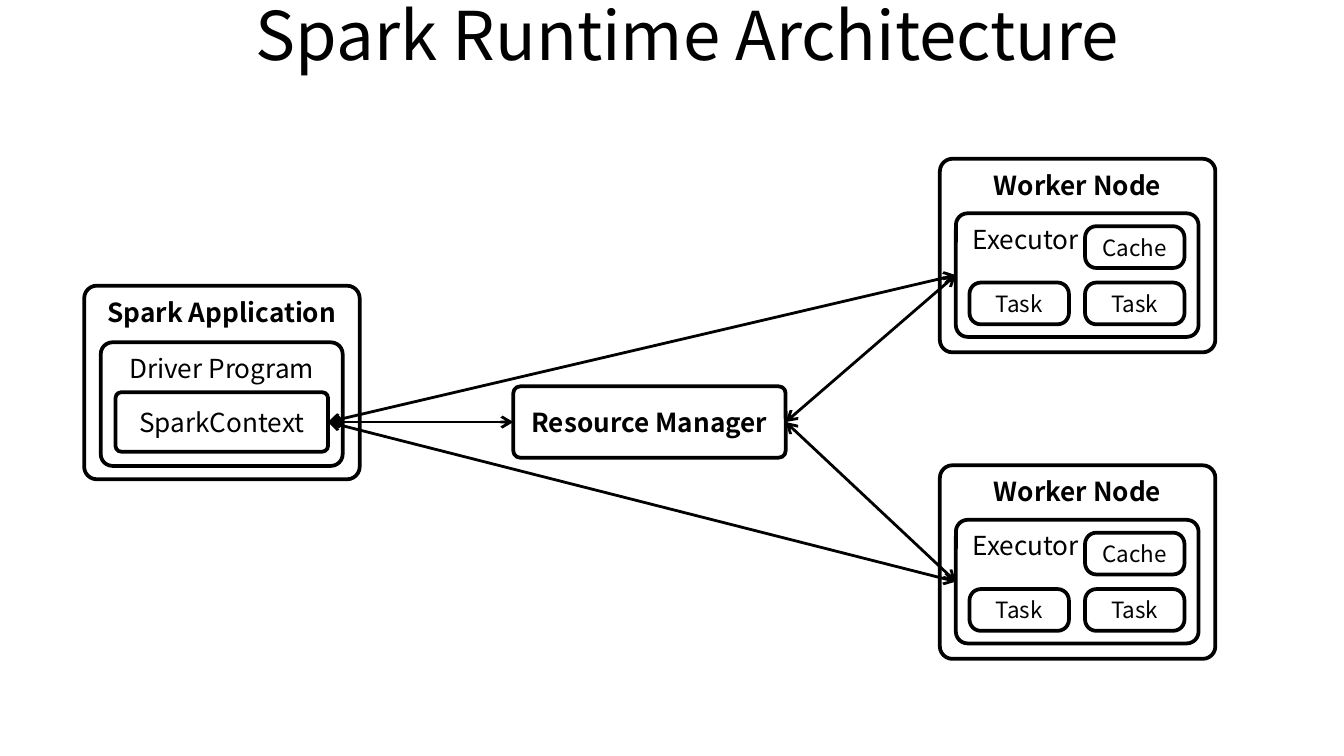
from lxml.etree import SubElement
from pptx import Presentation
from pptx.dml.color import RGBColor
from pptx.enum.shapes import MSO_CONNECTOR, MSO_SHAPE
from pptx.enum.text import MSO_ANCHOR as ANCHOR, PP_ALIGN as ALIGN
from pptx.oxml.ns import qn
from pptx.util import Pt

BLACK = RGBColor(0, 0, 0)
WHITE = RGBColor(255, 255, 255)
FONT = "Noto Sans CJK KR"
LEFT_SITE, RIGHT_SITE = 1, 3  # connection sites of a rounded rectangle


def set_text(s, text, size, bold=False, align=ALIGN.CENTER, anchor=ANCHOR.TOP):
    tf = s.text_frame
    tf.word_wrap = True
    tf.vertical_anchor = anchor
    p = tf.paragraphs[0]
    p.text = text
    p.alignment = align
    p.font.name = FONT
    p.font.size = Pt(size)
    p.font.bold = bold
    p.font.color.rgb = BLACK


def add_title(slide, text):
    s = slide.shapes.add_textbox(Pt(44.3), Pt(-7.2), Pt(648), Pt(67.7))
    set_text(s, text, 36)


def add_box(slide, text, x, y, w, h, radius=0.095, size=14, **style):
    s = slide.shapes.add_shape(MSO_SHAPE.ROUNDED_RECTANGLE, Pt(x), Pt(y), Pt(w), Pt(h))
    s.adjustments[0] = radius
    s.shadow.inherit = False
    s.fill.solid()
    s.fill.fore_color.rgb = WHITE
    s.line.color.rgb = BLACK
    s.line.width = Pt(2)
    set_text(s, text, size, **style)
    return s


def add_node(slide, text, x, y):
    return add_box(slide, text, x, y, 147.6, 103.7, radius=0.065, bold=True)


def add_worker(slide, x, y):
    """Draw a worker node and return its executor."""
    add_node(slide, "Worker Node", x, y)
    executor = add_box(slide, "Executor", x + 8.6, y + 29.2, 130, 66.2, align=ALIGN.LEFT)
    for text, dx, dy in (("Task", 15.9, 66.3), ("Task", 77.8, 66.3), ("Cache", 77.8, 36.1)):
        add_box(slide, text, x + dx, y + dy, 53.3, 22.4,
                radius=0.271, size=12, anchor=ANCHOR.MIDDLE)
    return executor


def add_link(slide, source, target):
    """Join two boxes with a two-headed arrow."""
    s = slide.shapes.add_connector(MSO_CONNECTOR.STRAIGHT, 0, 0, 0, 0)
    s.begin_connect(source, RIGHT_SITE)
    s.end_connect(target, LEFT_SITE)
    s.line.color.rgb = BLACK
    s.line.width = Pt(1.5)
    ln = s.line._get_or_add_ln()
    for end in ("a:headEnd", "a:tailEnd"):
        SubElement(ln, qn(end), type="arrow")
    SubElement(s._element.spPr, qn("a:effectLst"))


def main():
    prs = Presentation()
    prs.slide_width, prs.slide_height = Pt(720), Pt(405)
    slide = prs.slides.add_slide(prs.slide_layouts[6])
    add_title(slide, "Spark Runtime Architecture")

    # Application with its driver
    add_node(slide, "Spark Application", 45.1, 153.1)
    add_box(slide, "Driver Program", 54, 183.4, 129.6, 66.2)
    context = add_box(slide, "SparkContext", 61.9, 210.2, 113.8, 31.8, anchor=ANCHOR.MIDDLE)

    # Resource manager and workers
    manager = add_box(slide, "Resource Manager", 275, 207, 145.9, 38.2,
                      bold=True, anchor=ANCHOR.MIDDLE)
    executors = [add_worker(slide, 503.5, y) for y in (85.1, 249.3)]

    # Links
    add_link(slide, context, manager)
    for executor in executors:
        add_link(slide, context, executor)
        add_link(slide, manager, executor)

    prs.save("out.pptx")


if __name__ == "__main__":
    main()
